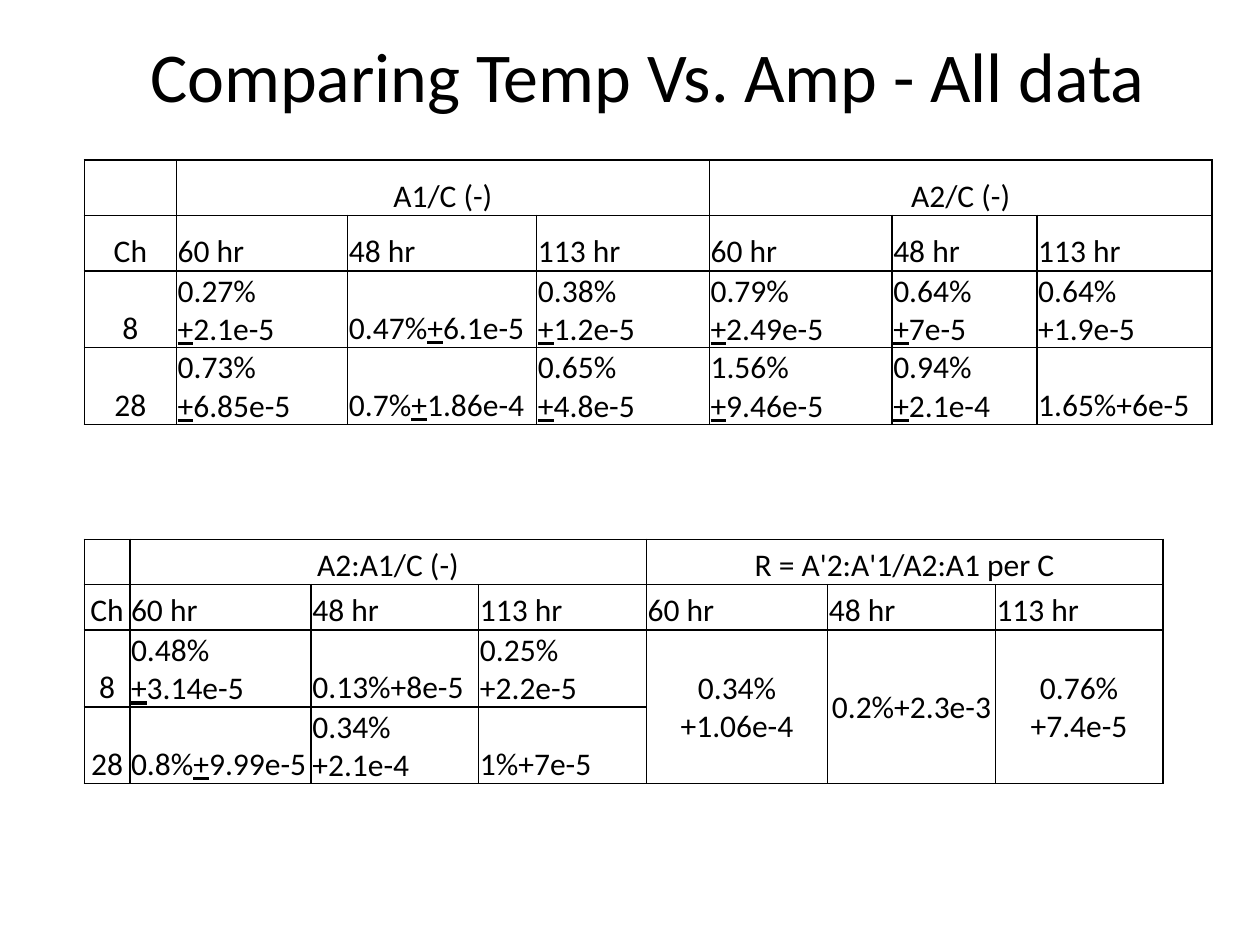
import pptx
import pptx.util
import pptx.dml.color
import pptx.enum.text
import pptx.oxml
from dataclasses import dataclass
from pptx.util import Inches

ALIGN = pptx.enum.text.PP_ALIGN
ANCHOR = pptx.enum.text.MSO_ANCHOR


@dataclass(frozen=True)
class Theme:
    font: str = "Calibri"
    ink: str = "000000"
    title_size: int = 40
    table_size: int = 18
    border_width: int = 1


theme = Theme()


def write(frame, text, size=theme.table_size, align=ALIGN.LEFT):
    """Fill a text frame; a part between underscores is underlined."""
    paragraph = frame.paragraphs[0]
    paragraph.alignment = align
    paragraph.font.size = pptx.util.Pt(size)
    for index, part in enumerate(text.split("_")):
        if part:
            run = paragraph.add_run()
            run.text = part
            run.font.name = theme.font
            run.font.size = pptx.util.Pt(size)
            run.font.color.rgb = pptx.dml.color.RGBColor.from_string(theme.ink)
            if index % 2:
                run.font.underline = True


def add_borders(cell):
    properties = cell._tc.get_or_add_tcPr()
    for side in ("lnL", "lnR", "lnT", "lnB"):
        properties.append(pptx.oxml.parse_xml(
            f'<a:{side} xmlns:a="http://schemas.openxmlformats.org/drawingml/2006/main"'
            f' w="{pptx.util.Pt(theme.border_width)}"><a:solidFill>'
            f'<a:srgbClr val="{theme.ink}"/></a:solidFill></a:{side}>'))


presentation = pptx.Presentation()
presentation.slide_width = Inches(10)
presentation.slide_height = Inches(7.5)
slide = presentation.slides.add_slide(presentation.slide_layouts[6])

title = slide.shapes.add_textbox(Inches(-0.24), Inches(-0.09), Inches(10.76), Inches(1.36))
title.text_frame.word_wrap = True
title.text_frame.vertical_anchor = ANCHOR.MIDDLE
write(title.text_frame, "Comparing Temp Vs. Amp - All data",
      size=theme.title_size, align=ALIGN.CENTER)

hours = ["60 hr", "48 hr", "113 hr"]
header_merges = [(0, 1, 0, 3), (0, 4, 0, 6)]
ratio_merges = [(2, column, 3, column) for column in (4, 5, 6)]

# top, row height, column widths, merged ranges, rows
tables = [
    (1.27, 0.44, [0.73, 1.36, 1.5, 1.37, 1.45, 1.15, 1.39], header_merges, [
        ["", "A1/C (-)", "", "", "A2/C (-)", "", ""],
        ["Ch", *hours, *hours],
        ["8", "0.27%_+_2.1e-5", "0.47%_+_6.1e-5", "0.38%_+_1.2e-5",
         "0.79%_+_2.49e-5", "0.64%_+_7e-5", "0.64%+1.9e-5"],
        ["28", "0.73%_+_6.85e-5", "0.7%_+_1.86e-4", "0.65%_+_4.8e-5",
         "1.56%_+_9.46e-5", "0.94%_+_2.1e-4", "1.65%+6e-5"],
    ]),
    (4.28, 0.36, [0.36] + [1.44, 1.33, 1.33] * 2, header_merges + ratio_merges, [
        ["", "A2:A1/C (-)", "", "", "R = A'2:A'1/A2:A1 per C", "", ""],
        ["Ch", *hours, *hours],
        ["8", "0.48%_+_3.14e-5", "0.13%+8e-5", "0.25%+2.2e-5",
         "0.34%+1.06e-4", "0.2%+2.3e-3", "0.76%+7.4e-5"],
        ["28", "0.8%_+_9.99e-5", "0.34%+2.1e-4", "1%+7e-5", "", "", ""],
    ]),
]

for top, row_height, widths, merges, rows in tables:
    table = slide.shapes.add_table(
        len(rows), len(widths), Inches(0.67), Inches(top),
        Inches(sum(widths)), Inches(row_height * len(rows))).table
    table.first_row = False
    table.horz_banding = False
    for column, width in zip(table.columns, widths):
        column.width = Inches(width)
    for first_row, first_column, last_row, last_column in merges:
        table.cell(first_row, first_column).merge(table.cell(last_row, last_column))

    for row_index, texts in enumerate(rows):
        table.rows[row_index].height = Inches(row_height)
        for column_index, text in enumerate(texts):
            cell = table.cell(row_index, column_index)
            spans_rows = cell.is_merge_origin and cell.span_height > 1
            cell.margin_left = cell.margin_right = cell.margin_top = Inches(0.01)
            cell.margin_bottom = 0
            cell.vertical_anchor = ANCHOR.MIDDLE if spans_rows else ANCHOR.BOTTOM
            add_borders(cell)
            cell.fill.background()
            centered = column_index == 0 or cell.is_merge_origin
            write(cell.text_frame, text, align=ALIGN.CENTER if centered else ALIGN.LEFT)

presentation.save("out.pptx")
